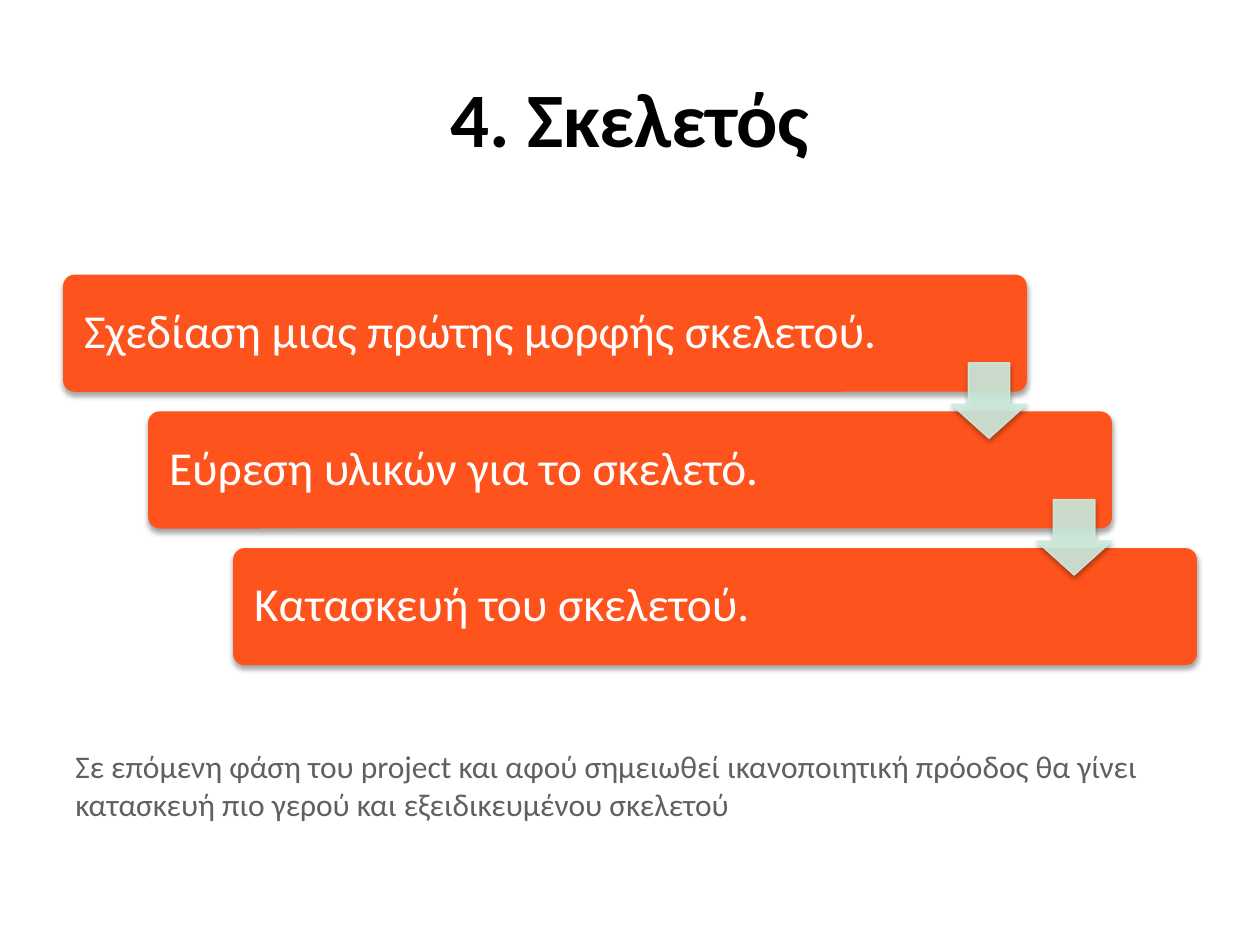
from lxml import etree
from pptx import Presentation
from pptx.dml.color import RGBColor
from pptx.enum import shapes, text
from pptx.oxml import parse_xml
from pptx.oxml.ns import nsdecls, qn
from pptx.util import Inches, Pt

SHADE = (
    f'<a:effectLst {nsdecls("a")}><a:outerShdw blurRad="40000" dist="23000" '
    'dir="5400000" rotWithShape="0"><a:srgbClr val="000000">'
    '<a:alpha val="35000"/></a:srgbClr></a:outerShdw></a:effectLst>'
)


def tint(color, code):
    color.rgb = RGBColor.from_string(code)


def write(frame, words, size, code, bold=False):
    frame.word_wrap = True
    para = frame.paragraphs[0]
    run = para.add_run()
    run.text = words
    run.font.name = "Calibri"
    run.font.size = Pt(size)
    run.font.bold = bold
    tint(run.font.color, code)
    return para


deck = Presentation()
deck.slide_width = Inches(10)
deck.slide_height = Inches(7.5)
slide = deck.slides.add_slide(deck.slide_layouts[6])
items = slide.shapes

title = items.add_textbox(Inches(0.5), Inches(0.3), Inches(9), Inches(1.25))
title.text_frame.vertical_anchor = text.MSO_ANCHOR.MIDDLE
para = write(title.text_frame, "4. Σκελετός", 44, "000000", True)
para.alignment = text.PP_ALIGN.CENTER

steps = [
    "Σχεδίαση μιας πρώτης μορφής σκελετού.",
    "Εύρεση υλικών για το σκελετό.",
    "Κατασκευή του σκελετού.",
]
left, top = 0.5, 2.18
right, down = 0.675, 1.085

for i, step in enumerate(steps):
    bar = items.add_shape(
        shapes.MSO_SHAPE.ROUNDED_RECTANGLE,
        Inches(left + i * right), Inches(top + i * down), Inches(7.65), Inches(0.93),
    )
    bar.adjustments[0] = 0.1
    bar.fill.solid()
    tint(bar.fill.fore_color, "FF531D")
    bar.line.fill.background()
    bar._element.spPr.append(parse_xml(SHADE))
    frame = bar.text_frame
    frame.margin_left = frame.margin_right = Inches(0.14)
    frame.vertical_anchor = text.MSO_ANCHOR.MIDDLE
    para = write(frame, step, 27, "FFFFFF")
    para.alignment = text.PP_ALIGN.LEFT
    para.line_spacing = 0.9

for i in range(len(steps) - 1):
    arrow = items.add_shape(
        shapes.MSO_SHAPE.DOWN_ARROW,
        Inches(7.55 + i * right), Inches(2.88 + i * down), Inches(0.6), Inches(0.6),
    )
    arrow.adjustments[0] = 0.55
    arrow.adjustments[1] = 0.45
    arrow.fill.solid()
    tint(arrow.fill.fore_color, "CCECDE")
    tint(arrow.line.color, "CCECDE")
    arrow.line.width = Pt(0.75)
    for color in arrow._element.spPr.iter(qn("a:srgbClr")):
        etree.SubElement(color, qn("a:alpha")).set("val", "90000")
    arrow._element.spPr.append(parse_xml(SHADE))

note = items.add_textbox(Inches(0.5), Inches(5.88), Inches(9), Inches(0.71))
para = write(
    note.text_frame,
    "Σε επόμενη φάση του project και αφού σημειωθεί ικανοποιητική πρόοδος "
    "θα γίνει κατασκευή πιο γερού και εξειδικευμένου σκελετού",
    18, "606060",
)
para.space_before = Pt(7.5)

deck.save("out.pptx")
